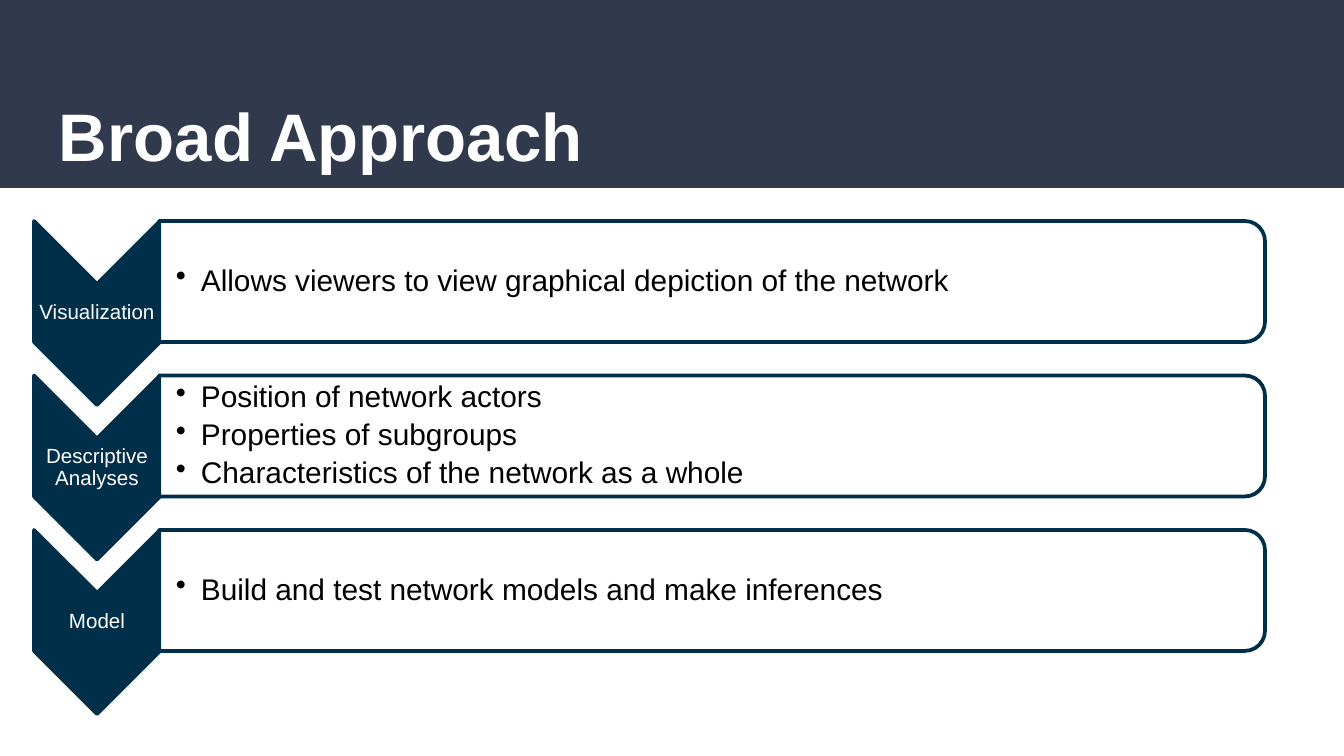
"""Build the Broad Approach slide: three chevron steps with bulleted bars."""
import lxml.etree
import pptx
import pptx.dml.color
import pptx.enum.shapes
import pptx.enum.text
import pptx.oxml.ns
import pptx.util

TITLE = "Broad Approach"
STEPS = [
    ("Visualization", ["Allows viewers to view graphical depiction of the network"]),
    ("Descriptive Analyses", [
        "Position of network actors",
        "Properties of subgroups",
        "Characteristics of the network as a whole",
    ]),
    ("Model", ["Build and test network models and make inferences"]),
]
COLORS = {"banner": "31394D", "step": "002F4A", "white": "FFFFFF", "body": "000000"}
FONT = "Arial"
SCALE = 914400 / 134.4
FIRST_TOP, PITCH = 221, 154.5
CHEVRON_LEFT, CHEVRON_WIDTH, CHEVRON_HEIGHT = 34, 126, 184
BAR_LEFT, BAR_WIDTH, BAR_HEIGHT = 159, 1106, 121

SHAPES = pptx.enum.shapes.MSO_SHAPE
ALIGN = pptx.enum.text.PP_ALIGN
ANCHOR = pptx.enum.text.MSO_ANCHOR


def px(length):
    return pptx.util.Emu(round(length * SCALE))


def rgb(name):
    return pptx.dml.color.RGBColor.from_string(COLORS[name])


def add_block(slide, kind, left, top, width, height, fill, line=None):
    block = slide.shapes.add_shape(kind, px(left), px(top), px(width), px(height))
    block.shadow.inherit = False
    block.fill.solid()
    block.fill.fore_color.rgb = rgb(fill)
    if line:
        block.line.color.rgb = rgb(line)
        block.line.width = pptx.util.Pt(2)
    else:
        block.line.fill.background()
    return block


def add_upright(slide, kind, left, top, width, height, fill):
    shift = (width - height) / 2
    block = add_block(slide, kind, left + shift, top - shift, height, width, fill, "step")
    block.rotation = 90
    return block


def add_text(slide, lines, box, insets, size, color, anchor=ANCHOR.MIDDLE,
             align=ALIGN.LEFT, bold=False, spacing=0.9, after=0, bullets=False):
    frame = slide.shapes.add_textbox(*map(px, box)).text_frame
    frame.word_wrap = True
    frame.vertical_anchor = anchor
    frame.margin_left, frame.margin_top, frame.margin_right, frame.margin_bottom = map(px, insets)
    frame.text = "\n".join(lines)
    for paragraph in frame.paragraphs:
        paragraph.alignment = align
        paragraph.line_spacing = spacing
        paragraph.space_after = pptx.util.Pt(after)
        if bullets:
            properties = paragraph._p.get_or_add_pPr()
            properties.set("marL", str(px(25)))
            properties.set("indent", str(px(-25)))
            bullet = lxml.etree.SubElement(properties, pptx.oxml.ns.qn("a:buChar"))
            bullet.set("char", "•")
        for run in paragraph.runs:
            run.font.name = FONT
            run.font.size = pptx.util.Pt(size)
            run.font.bold = bold
            run.font.color.rgb = rgb(color)


def add_step(slide, top, label, points):
    add_upright(slide, SHAPES.CHEVRON, CHEVRON_LEFT, top,
                CHEVRON_WIDTH, CHEVRON_HEIGHT, "step")
    add_text(slide, [label], (CHEVRON_LEFT, top + 63, CHEVRON_WIDTH, 58), (1, 1, 1, 1),
             11, "white", align=ALIGN.CENTER)
    bar = add_upright(slide, SHAPES.ROUND_2_SAME_RECTANGLE, BAR_LEFT, top,
                      BAR_WIDTH, BAR_HEIGHT, "white")
    tint = bar._element.spPr.find(".//" + pptx.oxml.ns.qn("a:srgbClr"))
    lxml.etree.SubElement(tint, pptx.oxml.ns.qn("a:alpha")).set("val", "90000")
    add_text(slide, points, (BAR_LEFT + 1, top + 6, BAR_WIDTH - 6, BAR_HEIGHT - 12),
             (16, 1, 1, 1), 16, "body", after=3, bullets=True)


def main():
    deck = pptx.Presentation()
    deck.slide_width, deck.slide_height = px(1344), px(756)
    slide = deck.slides.add_slide(deck.slide_layouts[6])
    add_block(slide, SHAPES.RECTANGLE, 0, 0, 1344, 188, "banner")
    add_text(slide, [TITLE], (46, 74, 1252, 91), (13, 20, 13, 13), 36, "white",
             anchor=ANCHOR.TOP, bold=True, spacing=1.0)
    for row, (label, points) in enumerate(STEPS):
        add_step(slide, FIRST_TOP + row * PITCH, label, points)
    deck.save("out.pptx")


if __name__ == "__main__":
    main()
